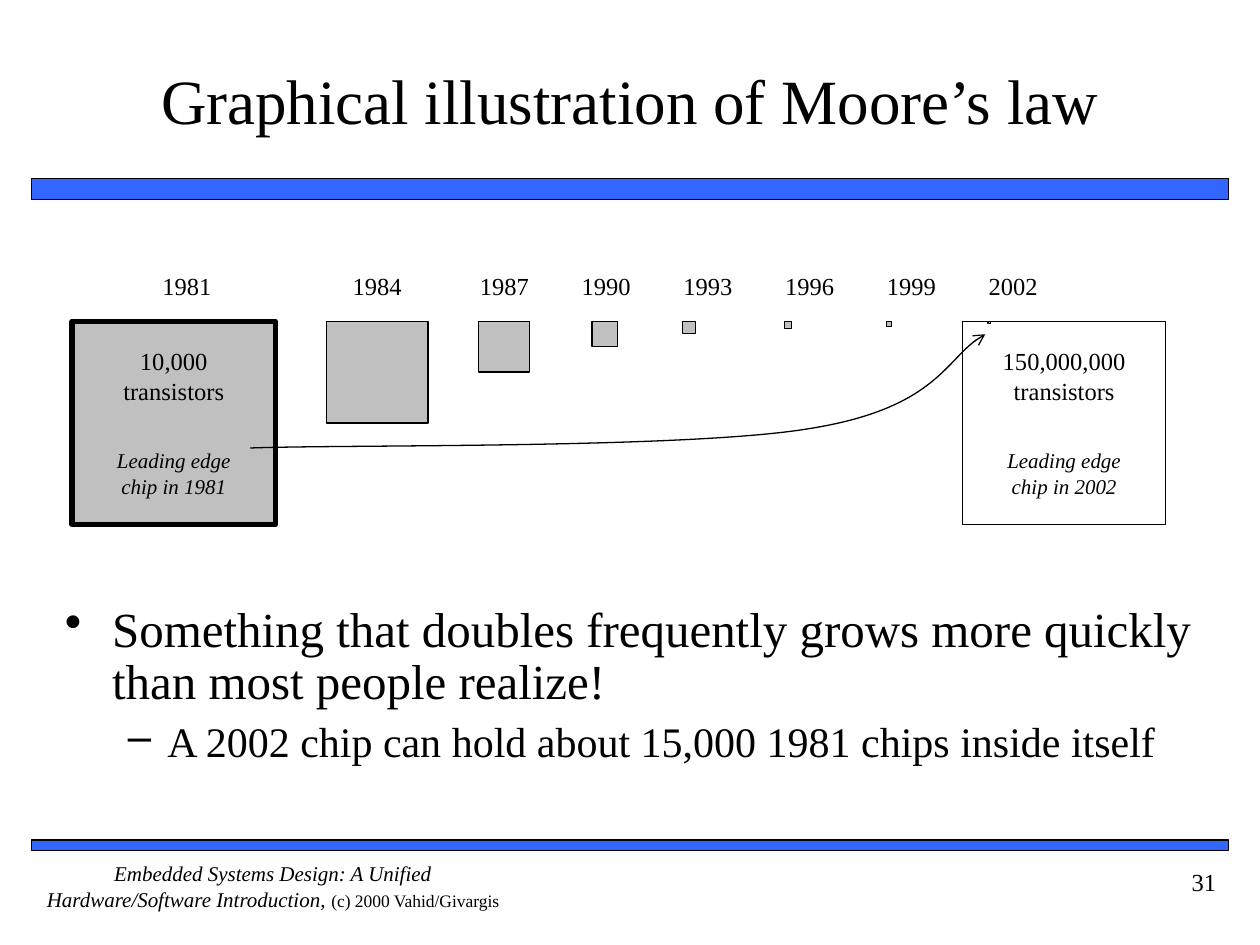
from lxml import etree
from pptx import Presentation
from pptx.dml.color import RGBColor
from pptx.enum.shapes import MSO_SHAPE
from pptx.enum.text import MSO_ANCHOR, PP_ALIGN
from pptx.oxml.ns import qn
from pptx.util import Pt

RECTANGLE = MSO_SHAPE.RECTANGLE
LEFT, CENTER, RIGHT = PP_ALIGN.LEFT, PP_ALIGN.CENTER, PP_ALIGN.RIGHT
TOP, MIDDLE = MSO_ANCHOR.TOP, MSO_ANCHOR.MIDDLE
FONT, BLACK, BLUE, GRAY = "Times New Roman", "000000", "3366FF", "C0C0C0"

# Content
TITLE = "Graphical illustration of Moore’s law"
FIRST_YEAR = "1981"
# Year, inset of the square from the left of its column, side of the square
SHRINKING = [
    ("1984", None, 58.1),
    ("1987", 14.4, 29),
    ("1990", 21, 14.5),
    ("1993", 14.6, 7.2),
    ("1996", 14.6, 4),
    ("1999", 14.6, 2.9),
    ("2002", 14.6, 1.4),
]
# Left, fill, line width, transistor count, year
CHIPS = [
    (41.2, GRAY, 3, "10,000", "1981"),
    (550, None, 0.75, "150,000,000", "2002"),
]
# Text, size, left indent, hanging indent, bullet, space before
BULLETS = [
    ("Something that doubles frequently grows more quickly than most people realize!",
     28, 27, 27, "•", 0),
    ("A 2002 chip can hold about 15,000 1981 chips inside itself", 24, 58.5, 22.5, "–", 6),
]
FOOTER = [
    ("Embedded Systems Design: A Unified Hardware/Software Introduction, ", 12, True),
    ("(c) 2000 Vahid/Givargis", 10, False),
]
PAGE_NUMBER = "31"

# Layout
CHIP_TOP, CHIP_SIDE = 183.6, 116.2
LABEL_TOP, LABEL_HEIGHT = 154.8, 29
COLUMN_LEFT, COLUMN_STEP = 259.2, 58.15
ARROW_START = (143, 256)
ARROW_CURVES = [
    [(196, 254), (392, 256.5), (462, 245)],
    [(532, 234), (542, 202), (563, 191)],
]


def color(value):
    return RGBColor.from_string(value)


def style(font, size, italic=False):
    font.name, font.size, font.italic = FONT, Pt(size), italic
    font.color.rgb = color(BLACK)


def add_rectangle(page, left, top, width, height, fill, line_width):
    shape = page.shapes.add_shape(RECTANGLE, Pt(left), Pt(top), Pt(width), Pt(height))
    shape.shadow.inherit = False
    if fill:
        shape.fill.solid()
        shape.fill.fore_color.rgb = color(fill)
    else:
        shape.fill.background()
    shape.line.color.rgb = color(BLACK)
    shape.line.width = Pt(line_width)


def add_text(page, left, top, width, height, lines=(), size=14, italic=False,
             align=CENTER, anchor=TOP, inset_x=0, inset_y=0):
    box = page.shapes.add_textbox(Pt(left), Pt(top), Pt(width), Pt(height))
    frame = box.text_frame
    frame.word_wrap = True
    frame.vertical_anchor = anchor
    frame.margin_left = frame.margin_right = Pt(inset_x)
    frame.margin_top = frame.margin_bottom = Pt(inset_y)
    frame.text = "\n".join(lines)
    for para in frame.paragraphs:
        para.alignment = align
        for span in para.runs:
            style(span.font, size, italic)
    return frame


def add_bullets(page):
    frame = add_text(page, 30, 342, 660, 102, [bullet[0] for bullet in BULLETS],
                     align=LEFT, inset_x=7.2, inset_y=3.6)
    for para, (_, size, indent, hanging, mark, before) in zip(frame.paragraphs, BULLETS):
        properties = para._p.get_or_add_pPr()
        properties.set("marL", str(Pt(indent)))
        properties.set("indent", str(-Pt(hanging)))
        etree.SubElement(properties, qn("a:buChar")).set("char", mark)
        para.line_spacing = 0.9
        para.space_before = Pt(before)
        style(para.runs[0].font, size)


def add_curved_arrow(page):
    points = [(Pt(x), Pt(y)) for curve in ARROW_CURVES for x, y in curve]
    builder = page.shapes.build_freeform(Pt(ARROW_START[0]), Pt(ARROW_START[1]))
    builder.add_line_segments(points, close=False)
    arrow = builder.convert_to_shape()
    arrow.shadow.inherit = False
    arrow.fill.background()
    arrow.line.color.rgb = color(BLACK)
    arrow.line.width = Pt(0.75)
    # Every three straight segments become the control points of one curve
    segments = arrow._element.xpath(".//a:lnTo")
    outline = segments[0].getparent()
    for start in range(0, len(segments), 3):
        curve = etree.SubElement(outline, qn("a:cubicBezTo"))
        for segment in segments[start:start + 3]:
            curve.append(segment[0])
            outline.remove(segment)
    line = arrow.line._get_or_add_ln()
    etree.SubElement(line, qn("a:tailEnd")).set("type", "arrow")


def main():
    deck = Presentation()
    deck.slide_width, deck.slide_height = Pt(720), Pt(540)
    page = deck.slides.add_slide(deck.slide_layouts[6])

    # Bars, footer and title
    add_rectangle(page, 18, 102, 684, 12, BLUE, 1)
    add_rectangle(page, 18, 480, 684, 6, BLUE, 1)
    footer = add_text(page, 18, 492, 276, 36)
    for text, size, italic in FOOTER:
        span = footer.paragraphs[0].add_run()
        span.text = text
        style(span.font, size, italic)
    add_text(page, 30, 12, 660, 90, [TITLE], 36, anchor=MIDDLE, inset_y=3.6)

    # Year labels and shrinking squares
    add_text(page, 85, LABEL_TOP, 43.5, LABEL_HEIGHT, [FIRST_YEAR])
    for column, (year, inset, side) in enumerate(SHRINKING):
        left = COLUMN_LEFT + (column - 1) * COLUMN_STEP
        if inset is None:  # the widest square stands apart, one quarter step further left
            left, inset = left - COLUMN_STEP / 4, 0
        add_text(page, left, LABEL_TOP, COLUMN_STEP, LABEL_HEIGHT, [year])
        add_rectangle(page, left + inset, CHIP_TOP, side, side, GRAY, 0.75)

    # Leading edge chips
    for left, fill, line_width, count, year in CHIPS:
        add_rectangle(page, left, CHIP_TOP, CHIP_SIDE, CHIP_SIDE, fill, line_width)
        add_text(page, left, 198, CHIP_SIDE, 44, [count, "transistors"])
        add_text(page, left, 256, CHIP_SIDE, 44, ["Leading edge", f"chip in {year}"],
                 12, italic=True)
    add_curved_arrow(page)

    # Bullets and page number
    add_bullets(page)
    add_text(page, 630, 492, 72, 36, [PAGE_NUMBER], align=RIGHT, inset_x=7.2, inset_y=3.6)

    deck.save("out.pptx")


if __name__ == "__main__":
    main()
